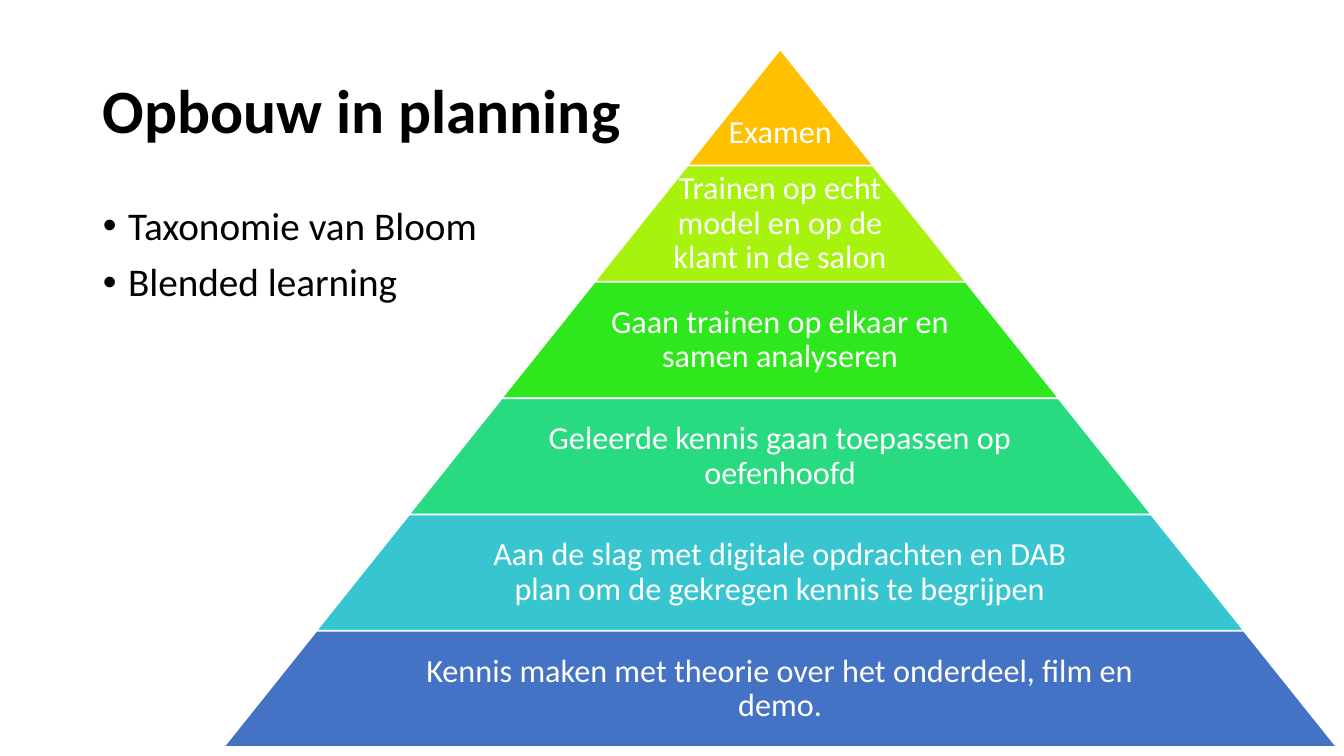
from lxml import etree
from pptx import Presentation
from pptx.dml.color import RGBColor
from pptx.enum.shapes import MSO_SHAPE as Shape
from pptx.enum.text import MSO_ANCHOR as Anchor, MSO_AUTO_SIZE as AutoSize, PP_ALIGN as Align
from pptx.oxml.ns import qn
from pptx.util import Inches, Pt

BLACK = RGBColor(0x00, 0x00, 0x00)
WHITE = RGBColor(0xFF, 0xFF, 0xFF)
AMBER = RGBColor(0xFF, 0xC0, 0x00)
LIME = RGBColor(0xA7, 0xF3, 0x0E)
GREEN = RGBColor(0x2E, 0xE7, 0x1C)
MINT = RGBColor(0x29, 0xDB, 0x80)
TURQUOISE = RGBColor(0x37, 0xC6, 0xCF)
BLUE = RGBColor(0x44, 0x72, 0xC4)

# Pyramid grid, in inches
CENTRE, APEX = 7.74, 0.49
TIER_HEIGHT, TIER_STEP = 1.15, 1.154
TIER_WIDTH = 1.84       # each tier is this much wider than the one above
TEXT_SHARE = 0.65       # text width as a share of its tier
INSET = 0.03


def write(frame, lines, size, color, bold=False, align=Align.LEFT,
          anchor=Anchor.TOP, gap=0, bullet=None):
    frame.word_wrap = True
    frame.auto_size = AutoSize.NONE
    frame.vertical_anchor = anchor
    for index, line in enumerate(lines):
        paragraph = frame.paragraphs[0] if index == 0 else frame.add_paragraph()
        paragraph.text = line
        paragraph.alignment = align
        paragraph.line_spacing = 0.9
        paragraph.space_before = Pt(gap if index else 0)
        if bullet:
            properties = paragraph._p.get_or_add_pPr()
            properties.set("marL", str(Inches(0.25)))
            properties.set("indent", str(-Inches(0.25)))
            etree.SubElement(properties, qn("a:buFont")).set("typeface", "Arial")
            etree.SubElement(properties, qn("a:buChar")).set("char", bullet)
        font = paragraph.font
        font.name, font.size, font.bold = "Calibri", Pt(size), bold
        font.color.rgb = color


presentation = Presentation()
presentation.slide_width = Inches(13.333)
presentation.slide_height = Inches(7.5)
slide = presentation.slides.add_slide(presentation.slide_layouts[1])

# Title and list
title, body = slide.placeholders
for placeholder, top, height in ((title, 0.4, 1.45), (body, 2, 4.76)):
    placeholder.left, placeholder.top = Inches(0.92), Inches(top)
    placeholder.width, placeholder.height = Inches(11.5), Inches(height)
write(title.text_frame, ["Opbouw in planning"], 44, BLACK, bold=True, anchor=Anchor.MIDDLE)
write(body.text_frame, ["Taxonomie van Bloom", "Blended learning"], 28, BLACK,
      gap=10, bullet="•")

# Pyramid, from the top tier down
tiers = [
    ("Examen", AMBER),
    ("Trainen op echt model en op de klant in de salon", LIME),
    ("Gaan trainen op elkaar en samen analyseren", GREEN),
    ("Geleerde kennis gaan toepassen op oefenhoofd", MINT),
    ("Aan de slag met digitale opdrachten en DAB plan om de gekregen kennis te begrijpen",
     TURQUOISE),
    ("Kennis maken met theorie over het onderdeel, film en demo.", BLUE),
]
for row, (label, color) in enumerate(tiers):
    is_peak = row == 0
    top = Inches(APEX + row * TIER_STEP)
    width = TIER_WIDTH * (row + 1)
    tier = slide.shapes.add_shape(Shape.TRAPEZOID, Inches(CENTRE - width / 2), top,
                                  Inches(width), Inches(TIER_HEIGHT))
    tier.adjustments[0] = TIER_WIDTH / 2 / TIER_HEIGHT
    tier.shadow.inherit = False
    tier.fill.solid()
    tier.fill.fore_color.rgb = color
    tier.line.color.rgb = WHITE
    tier.line.width = Pt(1)

    text_width = width if is_peak else width * TEXT_SHARE
    box = slide.shapes.add_textbox(Inches(CENTRE - text_width / 2), top,
                                   Inches(text_width), Inches(TIER_HEIGHT))
    frame = box.text_frame
    frame.margin_left = frame.margin_right = frame.margin_top = Inches(INSET)
    # The peak's label sits low, where the triangle is wide enough
    frame.margin_bottom = Inches(0.15 if is_peak else INSET)
    write(frame, [label], 23, WHITE, align=Align.CENTER,
          anchor=Anchor.BOTTOM if is_peak else Anchor.MIDDLE)

presentation.save("out.pptx")
